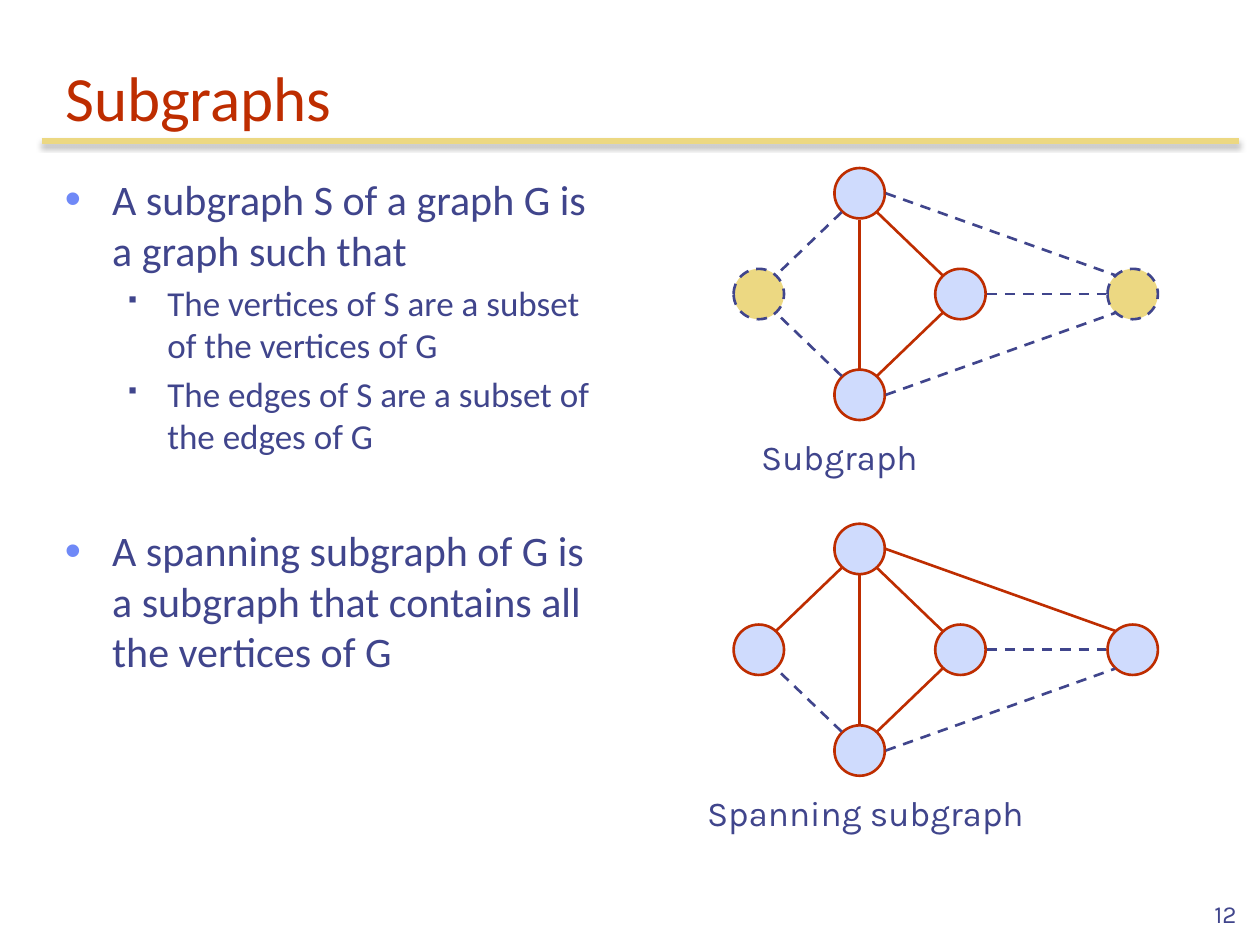
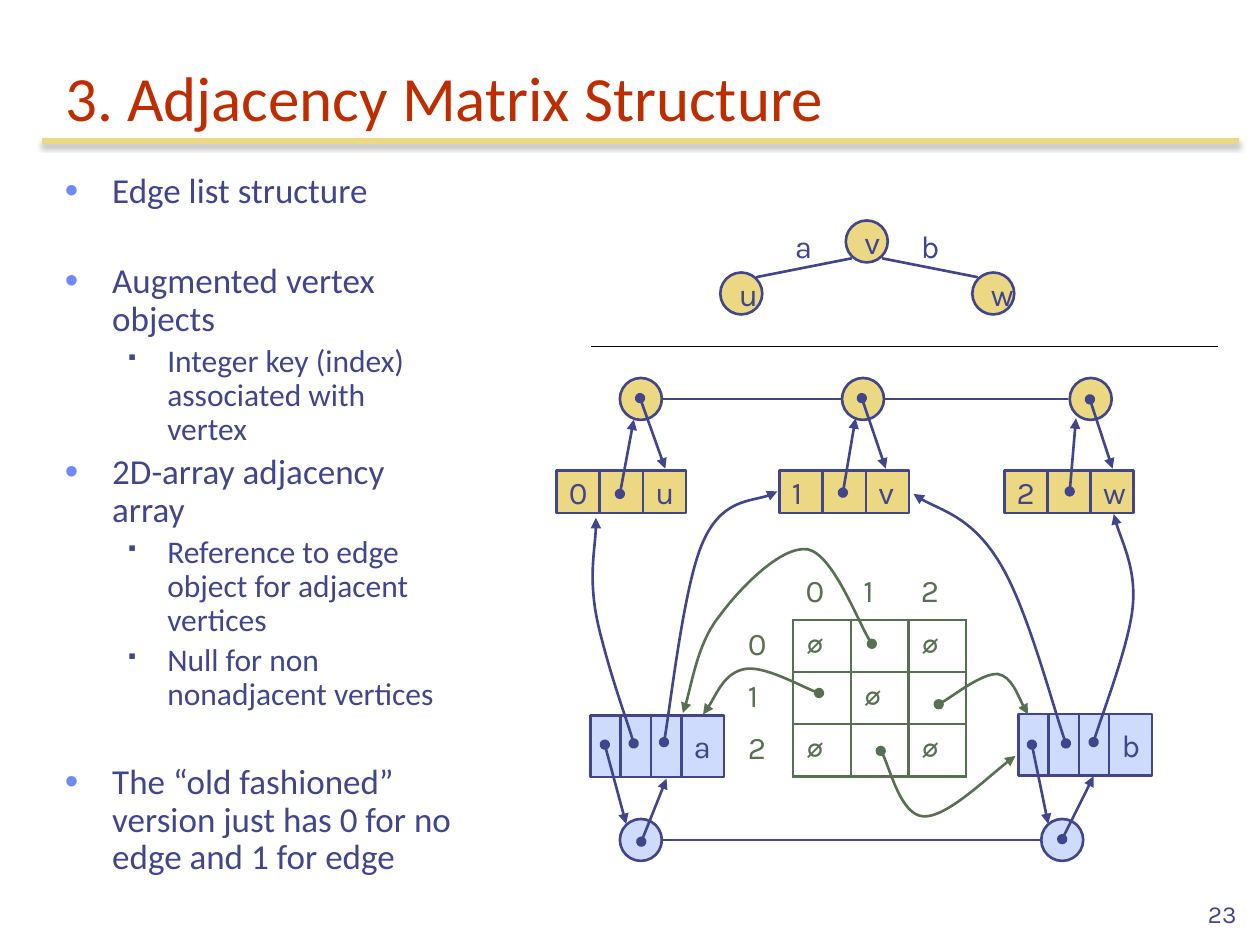
"""Build two lecture slides on subgraphs and the adjacency matrix structure."""
from itertools import product

from lxml.etree import SubElement
from pptx import Presentation
from pptx.dml.color import RGBColor
from pptx.enum.dml import MSO_LINE
from pptx.enum.shapes import MSO_CONNECTOR, MSO_SHAPE
from pptx.enum.text import MSO_ANCHOR, MSO_AUTO_SIZE, PP_ALIGN
from pptx.oxml.ns import qn
from pptx.util import Inches, Pt

color = RGBColor.from_string
NAVY, RED, GOLD, BLUE = "40458C", "BE2D00", "ECD882", "CFDBFD"
GREEN, BULLET, BLACK = "577052", "6F89F7", "000000"
CENTERED = {"word_wrap": False, "vertical_anchor": MSO_ANCHOR.MIDDLE}
BOTTOM = {"word_wrap": True, "vertical_anchor": MSO_ANCHOR.BOTTOM}

presentation = Presentation()
presentation.slide_width, presentation.slide_height = Inches(10), Inches(7.5)
UNIT = presentation.slide_width / 100


def grid(*cells):
    """Turn counts of grid cells, 100 to the slide's width, into lengths."""
    return [round(cell * UNIT) for cell in cells]


def finish(shape, text="", ink=NAVY, frame=None, align=PP_ALIGN.LEFT, size=18, name="Karla",
           bold=False, fill=None, line=None, width=1.5, dash=None, arrow=False):
    """Write the text of a shape and set its fill and outline."""
    if text:
        for key, value in (frame or {"word_wrap": False}).items():
            setattr(shape.text_frame, key, value)
        paragraph = shape.text_frame.paragraphs[0]
        paragraph.text, paragraph.alignment = text, align
        for key, value in {"size": Pt(size), "name": name, "bold": bold}.items():
            setattr(paragraph.font, key, value)
        paragraph.font.color.rgb = color(ink)
    if line:
        if fill:
            shape.fill.solid()
            shape.fill.fore_color.rgb = color(fill)
        elif hasattr(shape, "fill"):
            shape.fill.background()
        shape.line.color.rgb = color(line)
        shape.line.width, shape.line.dash_style = Pt(width), dash
        properties = shape._element.spPr
        if arrow:
            outline = properties.find(qn("a:ln"))
            SubElement(outline, qn("a:headEnd"), type="oval")
            SubElement(outline, qn("a:tailEnd"), type="triangle")
        SubElement(properties, qn("a:effectLst"))
    return shape


pages = [
    {"title": "Subgraphs", "number": "12", "width": 44.2, "sizes": (24, 20), "spacing": 1.0,
     "gap": 39, "bullets": [
         (0, "A subgraph S of a graph G is a graph such that", False),
         (1, "The vertices of S are a subset of the vertices of G", False),
         (1, "The edges of S are a subset of the edges of G", False),
         (0, "A spanning subgraph of G is a subgraph that contains all the vertices of G", True)]},
    {"title": "3. Adjacency Matrix Structure", "number": "23", "width": 32.65, "sizes": (20, 18),
     "spacing": 0.9, "gap": 29.5, "bullets": [
         (0, "Edge list structure", False),
         (0, "Augmented vertex objects", True),
         (1, "Integer key (index) associated with vertex", False),
         (0, "2D-array adjacency array", False),
         (1, "Reference to edge object for adjacent vertices", False),
         (1, "Null for non nonadjacent vertices", False),
         (0, "The “old fashioned” version just has 0 for no edge and 1 for edge", True)]},
]
bullet_styles = [(27, 27, BULLET, 110, "Arial", "•"), (58.5, 22.5, NAVY, 60, "Wingdings", "§")]

for page in pages:
    slide = presentation.slides.add_slide(presentation.slide_layouts[5])
    rule = slide.shapes.add_connector(MSO_CONNECTOR.STRAIGHT, *grid(3.3, 11.2, 98.3, 11.2))
    finish(rule, line=GOLD, width=3)
    shadow = SubElement(rule._element.spPr.find(qn("a:effectLst")), qn("a:outerShdw"),
                        blurRad=str(Pt(3.1)), dist=str(Pt(1.8)), dir="5400000", rotWithShape="0")
    shadow_color = SubElement(shadow, qn("a:srgbClr"), val=BLACK)
    SubElement(shadow_color, qn("a:alpha"), val="35000")

    title = slide.shapes.title
    title.left, title.top, title.width, title.height = grid(4.17, 3.33, 93.3, 7.83)
    finish(title, page["title"], RED, {**BOTTOM, "auto_size": MSO_AUTO_SIZE.NONE},
           size=36, name="Calibri")

    body = slide.shapes.add_textbox(*grid(4.17, 13.3, page["width"], 57.6)).text_frame
    body.word_wrap = True
    for index, (level, text, apart) in enumerate(page["bullets"]):
        paragraph = body.add_paragraph() if index else body.paragraphs[0]
        paragraph.text = text
        margin, hanging, tint, percent, typeface, mark = bullet_styles[level]
        properties = paragraph._p.get_or_add_pPr()
        properties.set("marL", str(Pt(margin)))
        properties.set("indent", str(-Pt(hanging)))
        SubElement(SubElement(properties, qn("a:buClr")), qn("a:srgbClr"), val=tint)
        SubElement(properties, qn("a:buSzPct"), val=str(percent * 1000))
        SubElement(properties, qn("a:buFont"), typeface=typeface)
        SubElement(properties, qn("a:buChar"), char=mark)
        size = page["sizes"][level]
        paragraph.level, paragraph.line_spacing = level, page["spacing"]
        if index:
            paragraph.space_before = Pt(page["gap"] if apart else size * 0.2)
        for key, value in {"size": Pt(size), "name": "Calibri"}.items():
            setattr(paragraph.font, key, value)
        paragraph.font.color.rgb = color(NAVY)

    finish(slide.shapes.add_textbox(*grid(78.33, 69.2, 20.8, 5)), page["number"],
           frame=BOTTOM, align=PP_ALIGN.RIGHT, size=14)

subgraph_shapes, matrix_shapes = (slide.shapes for slide in presentation.slides)

vertices = {"north": (66.23, 0), "west": (58.23, 8), "east": (74.23, 8),
            "south": (66.23, 16), "far": (87.9, 8)}
edges = {"north-west": (66.8, 3.5, 61.6, 8.5), "south-west": (66.8, 16.5, 61.6, 11.5),
         "south-east": (69.6, 16.5, 74.8, 11.5), "north-east": (69.6, 3.5, 74.8, 8.5),
         "north-south": (68.23, 4.1, 68.23, 16), "east-far": (78.3, 10, 87.8, 10),
         "south-far": (70.3, 18, 88.5, 11.5), "north-far": (70.3, 2, 88.5, 8.5)}
graphs = [
    ("Subgraph", 59.42, 31.2, 13.34, {"west", "far"},
     {"north-west", "south-west", "east-far", "south-far", "north-far"}),
    ("Spanning subgraph", 55.13, 39.9, 41.57, set(), {"south-west", "east-far", "south-far"}),
]
for caption, left, width, top, left_out, dashed in graphs:
    finish(subgraph_shapes.add_textbox(*grid(left, top + 20.75, width, 4.3)), caption, size=20)
    for vertex, (x, y) in vertices.items():
        circle = subgraph_shapes.add_shape(MSO_SHAPE.OVAL, *grid(x, top + y, 4, 4))
        if vertex in left_out:
            finish(circle, fill=GOLD, line=NAVY, dash=MSO_LINE.DASH)
        else:
            finish(circle, fill=BLUE, line=RED)
    for edge, (x1, y1, x2, y2) in edges.items():
        connector = subgraph_shapes.add_connector(
            MSO_CONNECTOR.STRAIGHT, *grid(x1, top + y1, x2, top + y2))
        if edge in dashed:
            finish(connector, line=NAVY, dash=MSO_LINE.DASH)
        else:
            finish(connector, line=RED)

for ends in [(70, 20.5, 77.6, 22), (67.6, 20.5, 60, 22),
             (82.5, 66.67, 52.6, 66.67), (84.8, 31.67, 52.6, 31.67)]:
    finish(matrix_shapes.add_connector(MSO_CONNECTOR.STRAIGHT, *grid(*ends)), line=NAVY)
finish(matrix_shapes.add_connector(MSO_CONNECTOR.STRAIGHT, *grid(46.9, 27.5, 96.7, 27.5)),
       line=BLACK, width=0.75)
for x, label in [(62.1, "a"), (72.1, "b")]:
    finish(matrix_shapes.add_textbox(*grid(x, 17.5, 3.4, 4)), label)

circles = [(57.17, 21.63, GOLD, "u"), (67.13, 17.5, GOLD, "v"), (77.17, 21.63, GOLD, "w"),
           (49.2, 30, GOLD, ""), (66.83, 30, GOLD, ""), (84.9, 30, GOLD, ""),
           (49.2, 65, BLUE, ""), (82.64, 65, BLUE, "")]
for x, y, fill, label in circles:
    finish(matrix_shapes.add_shape(MSO_SHAPE.OVAL, *grid(x, y, 3.33, 3.33)), label,
           frame=CENTERED, fill=fill, line=NAVY)

vertex_widths, edge_widths = (3.43, 3.43, 3.43), (2.4, 2.4, 2.4, 3.4)
records = [(44.17, 37.33, 3.4, GOLD, vertex_widths, ("0", "", "u")),
           (61.87, 37.33, 3.4, GOLD, vertex_widths, ("1", "", "v")),
           (79.7, 37.33, 3.4, GOLD, vertex_widths, ("2", "", "w")),
           (46.87, 56.77, 4.9, BLUE, edge_widths, ("", "", "", "a")),
           (80.83, 56.67, 4.9, BLUE, edge_widths, ("", "", "", "b"))]
for x, y, height, fill, widths, labels in records:
    for width, label in zip(widths, labels):
        finish(matrix_shapes.add_shape(MSO_SHAPE.RECTANGLE, *grid(x, y, width, height)), label,
               frame=CENTERED, fill=fill, line=NAVY)
        x += width

matrix = matrix_shapes.add_table(4, 4, *grid(58.36, 45.04, 18.33, 16.6)).table
matrix.first_row = matrix.horz_banding = False
matrix._tbl.tblPr.find(qn("a:tableStyleId")).text = "{2D5ABB26-0587-4C30-8999-92F81FD0307C}"
entries = [["", "0", "1", "2"], ["0", "∅", "", "∅"], ["1", "", "∅", ""], ["2", "∅", "", "∅"]]
for row, column in product(range(4), repeat=2):
    cell, entry = matrix.cell(row, column), entries[row][column]
    finish(cell, entry, GREEN, {"word_wrap": True}, bold=entry == "∅")
    if row and column:
        properties = cell._tc.get_or_add_tcPr()
        for side in ("lnL", "lnR", "lnT", "lnB"):
            border = SubElement(properties, qn(f"a:{side}"), w=str(Pt(1.5)))
            SubElement(SubElement(border, qn("a:solidFill")), qn("a:srgbClr"), val=GREEN)
    cell.fill.background()

arrows = [(50.9, 66.8, 52.9, 61.8), (84.3, 66.6, 86.8, 61.6),
          (50.8, 31.6, 52.8, 37.2), (68.4, 31.6, 70.3, 37.2), (86.5, 31.7, 88.3, 37.2),
          (49.2, 39.2, 50.3, 33.3), (66.9, 39.1, 67.9, 33.2), (84.9, 39, 85.4, 33.2),
          (48, 59.1, 49.7, 65.4), (81.9, 59.1, 83.2, 65.4)]
for ends in arrows:
    finish(matrix_shapes.add_connector(MSO_CONNECTOR.STRAIGHT, *grid(*ends)),
           line=NAVY, arrow=True)

curves = [
    (NAVY, [(52.7, 58.9), (53.2, 56.2), (54.3, 46.3), (55.8, 43),
            (57.3, 39.6), (60.5, 39.8), (61.7, 39)]),
    (NAVY, [(50.3, 59), (49.9, 57.5), (48.6, 54.1), (47.6, 50.1),
            (46.6, 46.1), (47.4, 43), (47.3, 41.1)]),
    (NAVY, [(84.6, 59), (83.7, 56.6), (81.5, 48.1), (79.3, 44.6),
            (77.1, 41), (73.9, 40.3), (72.5, 39.2)]),
    (NAVY, [(86.8, 58.9), (87.3, 57.1), (89.6, 51.2), (89.9, 48.2),
            (90.2, 45.2), (88.7, 42.3), (88.4, 40.8)]),
    (GREEN, [(65, 55), (64, 54.7), (60.6, 52.8), (59.1, 53.1),
             (57.5, 53.4), (56.5, 55.9), (55.8, 56.7)]),
    (GREEN, [(69.2, 51.1), (68.3, 49.9), (66.1, 44), (64.1, 43.6), (62, 43.3),
             (58.7, 46.7), (57.1, 48.9), (55.4, 51), (54.8, 55), (54.2, 56.6)]),
    (GREEN, [(74.5, 55.9), (75.3, 55.5), (78, 53.4), (79.2, 53.5),
             (80.3, 53.7), (81.1, 56), (81.6, 56.7)]),
    (GREEN, [(69.9, 59.6), (70.5, 60.4), (71.5, 64.7), (73.3, 64.8),
             (75.1, 64.9), (79.1, 61), (80.6, 60)]),
]
for ink, points in curves:
    start, *controls = [grid(*point) for point in points]
    builder = matrix_shapes.build_freeform(*start)
    builder.add_line_segments(controls, close=False)
    curve = finish(builder.convert_to_shape(), line=ink, arrow=True)
    outline = curve._element.spPr.find(".//" + qn("a:path"))
    segments = outline.findall(qn("a:lnTo"))
    for first in range(0, len(segments), 3):
        bezier = SubElement(outline, qn("a:cubicBezTo"))
        for segment in segments[first:first + 3]:
            bezier.append(segment[0])
            outline.remove(segment)

presentation.save("out.pptx")
